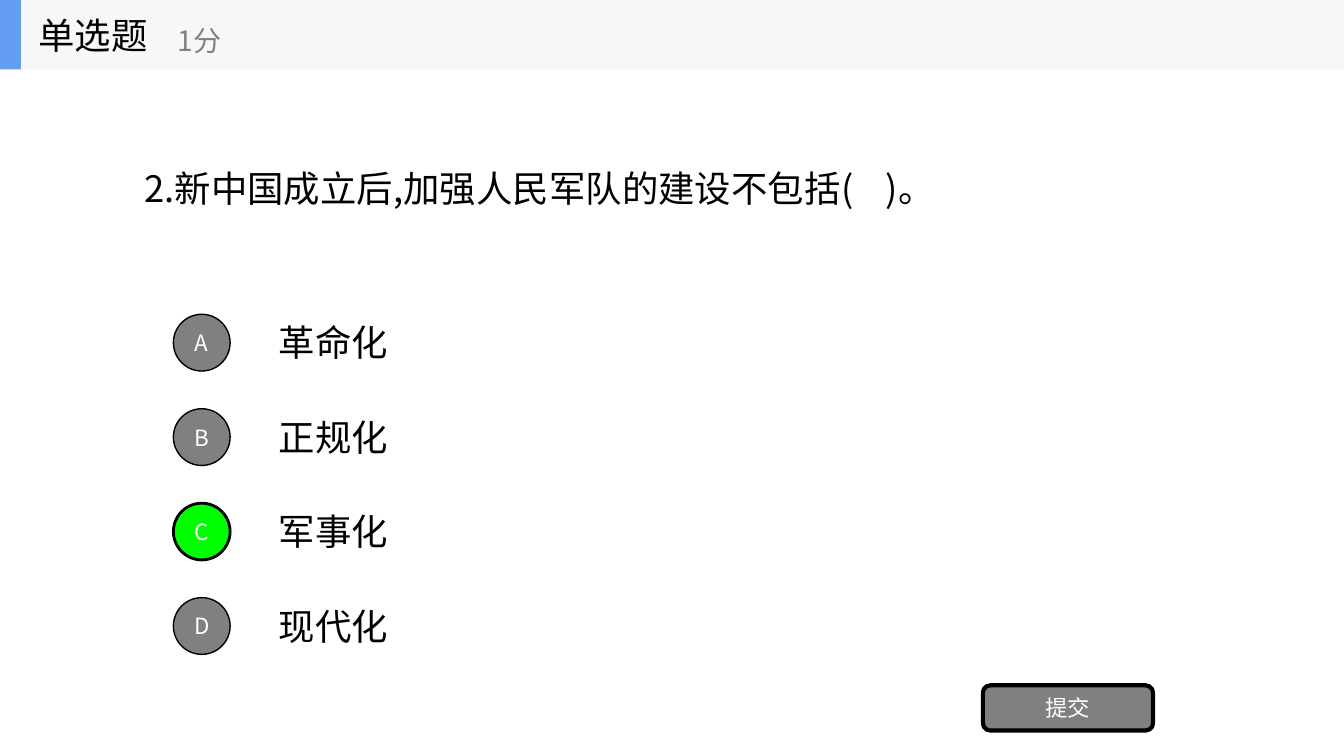
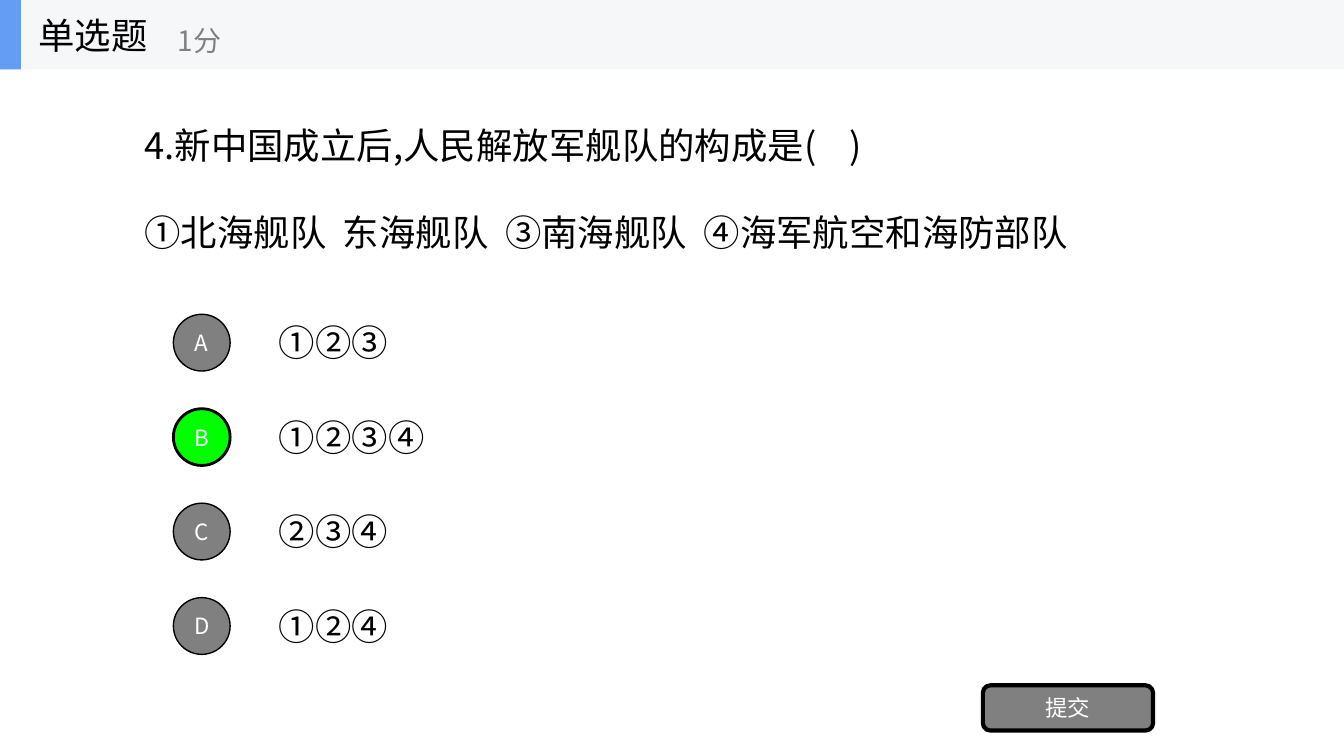
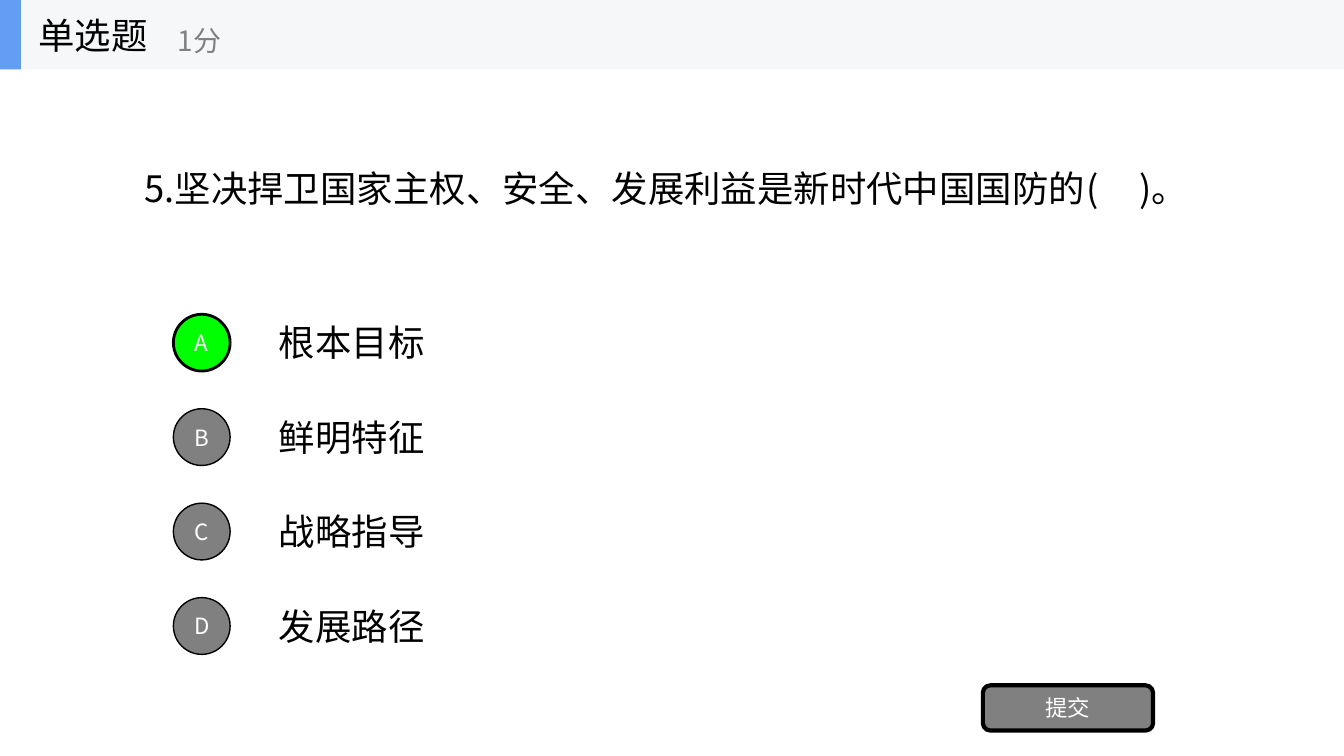
from dataclasses import dataclass

from lxml import etree
from pptx import Presentation
from pptx.dml.color import RGBColor
from pptx.enum import shapes, text
from pptx.oxml import ns
from pptx.shapes.autoshape import Shape
from pptx.slide import Slide
from pptx.util import Cm, Pt


@dataclass(frozen=True)
class Theme:
    font: str = "Noto Sans CJK SC"
    ink: str = "000000"
    white: str = "FFFFFF"
    grey: str = "808080"
    correct: str = "00FF00"
    band: str = "F6F7F8"
    accent: str = "639EF4"
    body: int = 26
    points: int = 20
    button: int = 16


@dataclass(frozen=True)
class Box:
    left: float
    top: float
    width: float
    height: float

    def emu(self) -> tuple[Cm, Cm, Cm, Cm]:
        return Cm(self.left), Cm(self.top), Cm(self.width), Cm(self.height)


@dataclass(frozen=True)
class Question:
    lines: tuple[str, ...]
    box: Box
    options: tuple[str, ...]
    answer: str


T = Theme()
SLIDE_W, SLIDE_H = 33.87, 19.05
HEADER_H = 1.75
OPTION_PITCH = 2.38
LINE_GAP = 31
LEFT, CENTER = text.PP_ALIGN.LEFT, text.PP_ALIGN.CENTER

QUESTIONS = (
    Question(
        ("2.新中国成立后,加强人民军队的建设不包括( \u00a0\u00a0 )。",),
        Box(3.39, 4.06, 20.8, 1.35),
        ("革命化", "正规化", "军事化", "现代化"),
        "C",
    ),
    Question(
        (
            "4.新中国成立后,人民解放军舰队的构成是( \u00a0\u00a0 )",
            "①北海舰队 \u00a0东海舰队 \u00a0③南海舰队 \u00a0④海军航空和海防部队",
        ),
        Box(3.39, 2.97, 24.43, 3.56),
        ("①②③", "①②③④", "②③④", "①②④"),
        "B",
    ),
    Question(
        ("5.坚决捍卫国家主权、安全、发展利益是新时代中国国防的( \u00a0\u00a0\u00a0 )。",),
        Box(3.39, 4.06, 27.0, 1.35),
        ("根本目标", "鲜明特征", "战略指导", "发展路径"),
        "A",
    ),
)


def write(sp: Shape, lines: tuple[str, ...], size: int, color: str,
          align: text.PP_ALIGN = LEFT) -> None:
    tf = sp.text_frame
    tf.word_wrap = True
    tf.vertical_anchor = text.MSO_ANCHOR.MIDDLE
    for i, line in enumerate(lines):
        p = tf.add_paragraph() if i else tf.paragraphs[0]
        p.text = line
        p.alignment = align
        p.space_before = Pt(LINE_GAP if i else 0)
        p.font.size = Pt(size)
        p.font.name = T.font
        p.font.color.rgb = RGBColor.from_string(color)
        props = p._p.pPr.find(ns.qn("a:defRPr"))
        etree.SubElement(props, ns.qn("a:ea"), typeface=T.font)


def add_text(s: Slide, box: Box, lines: tuple[str, ...], size: int = T.body,
             color: str = T.ink, grow: bool = True) -> None:
    sp = s.shapes.add_textbox(*box.emu())
    write(sp, lines, size, color)
    if grow:
        sp.text_frame.auto_size = text.MSO_AUTO_SIZE.SHAPE_TO_FIT_TEXT


def add_block(s: Slide, kind: shapes.MSO_SHAPE, box: Box, fill: str,
              line: float = 0) -> Shape:
    sp = s.shapes.add_shape(kind, *box.emu())
    sp.shadow.inherit = False
    sp.fill.solid()
    sp.fill.fore_color.rgb = RGBColor.from_string(fill)
    if line:
        sp.line.color.rgb = RGBColor.from_string(T.ink)
        sp.line.width = Pt(line)
    else:
        sp.line.fill.background()
    return sp


def add_button(s: Slide, kind: shapes.MSO_SHAPE, box: Box, label: str,
               fill: str, line: float) -> None:
    sp = add_block(s, kind, box, fill, line)
    tf = sp.text_frame
    tf.margin_left = tf.margin_right = tf.margin_top = tf.margin_bottom = 0
    write(sp, (label,), T.button, T.white, CENTER)


def add_header(s: Slide) -> None:
    rect = shapes.MSO_SHAPE.RECTANGLE
    add_block(s, rect, Box(0, 0, SLIDE_W, HEADER_H), T.band)
    accent = add_block(s, rect, Box(0, 0, 0.53, HEADER_H), T.accent)
    title = s.shapes.title
    title.left, title.top, title.width, title.height = Box(0.71, 0, 5.29, HEADER_H).emu()
    title.text_frame.auto_size = text.MSO_AUTO_SIZE.NONE
    write(title, ("单选题",), T.body, T.ink)
    accent.element.addnext(title.element)
    add_text(s, Box(4.23, 0.31, 6.35, 1.43), ("1分",), T.points, T.grey, grow=False)


def add_option(s: Slide, index: int, letter: str, label: str, correct: bool) -> None:
    offset = index * OPTION_PITCH
    add_text(s, Box(6.78, 7.95 + offset, 0.78 + 0.92 * len(label), 1.35), (label,))
    add_button(s, shapes.MSO_SHAPE.OVAL, Box(4.37, 7.92 + offset, 1.43, 1.43), letter,
               T.correct if correct else T.grey, 2 if correct else 1)


def add_question(prs: Presentation, q: Question) -> None:
    s = prs.slides.add_slide(prs.slide_layouts[5])
    add_header(s)
    add_text(s, q.box, q.lines)
    for i, (letter, label) in enumerate(zip("ABCD", q.options)):
        add_option(s, i, letter, label, letter == q.answer)
    add_button(s, shapes.MSO_SHAPE.ROUNDED_RECTANGLE, Box(24.77, 17.27, 4.29, 1.14),
               "提交", T.grey, 3)


prs = Presentation()
prs.slide_width, prs.slide_height = Cm(SLIDE_W), Cm(SLIDE_H)
for question in QUESTIONS:
    add_question(prs, question)
prs.save("out.pptx")
